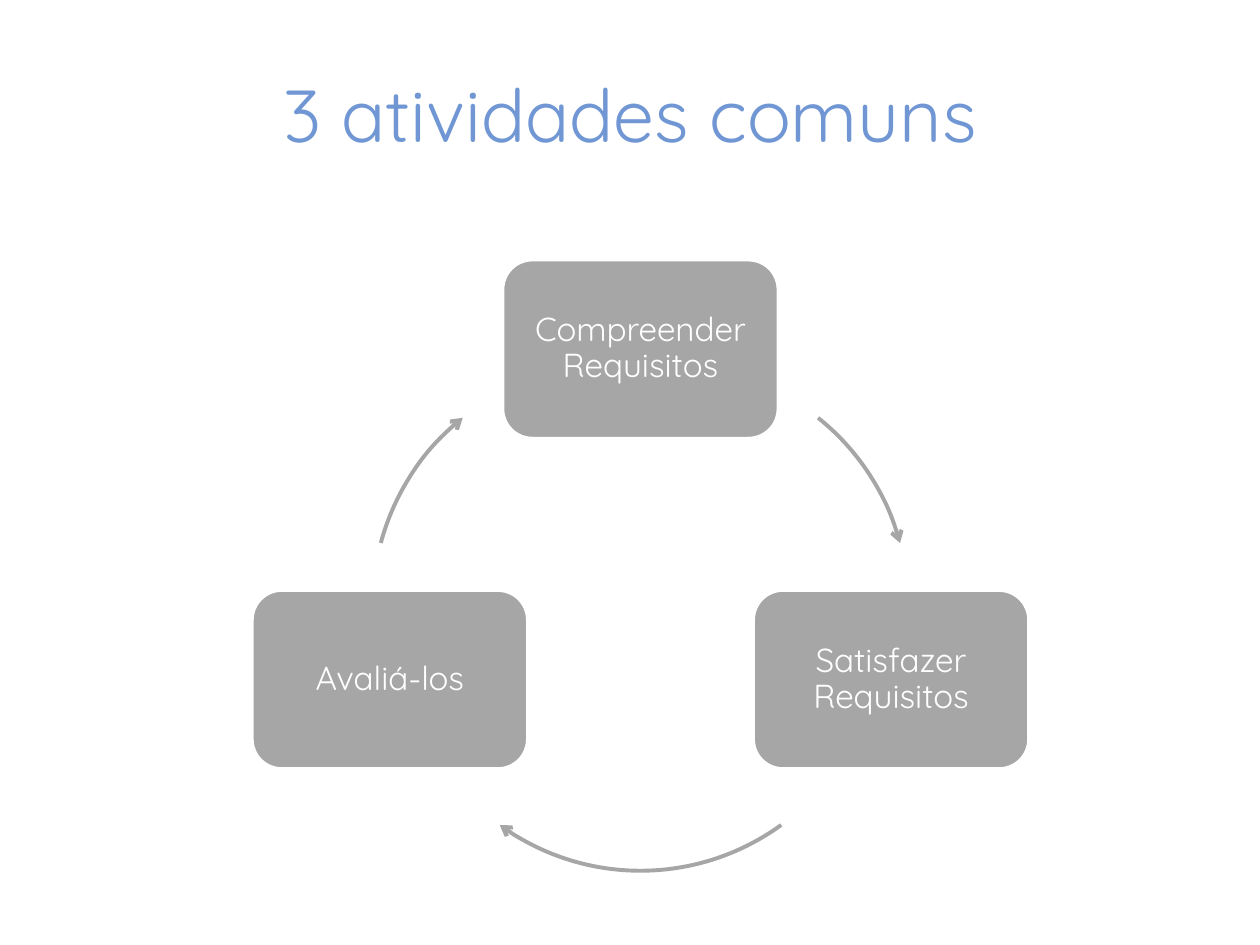
from dataclasses import dataclass

from lxml.etree import SubElement
from pptx import Presentation
from pptx.dml.color import RGBColor
from pptx.enum.shapes import MSO_SHAPE as Preset
from pptx.enum.text import MSO_ANCHOR as Anchor, PP_ALIGN as Align
from pptx.oxml.ns import qn
from pptx.util import Pt


@dataclass(frozen=True)
class Theme:
    font: str = "Quicksand"
    title_color: str = "7097D3"
    gray: str = "A6A6A6"
    white: str = "FFFFFF"
    title_size: float = 42
    step_size: float = 19
    border: float = 2
    arrow: float = 2.25


@dataclass(frozen=True)
class Box:
    left: float
    top: float
    width: float
    height: float

    def lengths(self):
        return [Pt(v) for v in (self.left, self.top, self.width, self.height)]


THEME = Theme()
ADJUSTMENT_PER_DEGREE = 0.6


def rgb(color):
    return RGBColor.from_string(color)


def write(shape, text, size, color, inset, spacing=1.0):
    frame = shape.text_frame
    frame.word_wrap = True
    frame.vertical_anchor = Anchor.MIDDLE
    frame.margin_left = frame.margin_right = Pt(inset)
    frame.margin_top = frame.margin_bottom = Pt(inset)
    paragraph = frame.paragraphs[0]
    paragraph.alignment = Align.CENTER
    paragraph.line_spacing = spacing
    run = paragraph.add_run()
    run.text = text
    run.font.name = THEME.font
    run.font.size = Pt(size)
    run.font.color.rgb = rgb(color)


def add_title(slide, box, text):
    heading = slide.shapes.add_textbox(*box.lengths())
    write(heading, text, size=THEME.title_size, color=THEME.title_color, inset=4)


def add_step(slide, box, text):
    step = slide.shapes.add_shape(Preset.ROUNDED_RECTANGLE, *box.lengths())
    step.shadow.inherit = False
    step.fill.solid()
    step.fill.fore_color.rgb = rgb(THEME.gray)
    step.line.color.rgb = rgb(THEME.white)
    step.line.width = Pt(THEME.border)
    write(step, text, size=THEME.step_size, color=THEME.white, inset=10.8, spacing=0.9)


def add_arc_arrow(slide, center_x, center_y, radius, start, end):
    box = Box(center_x - radius, center_y - radius, 2 * radius, 2 * radius)
    arc = slide.shapes.add_shape(Preset.ARC, *box.lengths())
    arc.shadow.inherit = False
    arc.fill.background()
    arc.adjustments[0] = start * ADJUSTMENT_PER_DEGREE
    arc.adjustments[1] = end * ADJUSTMENT_PER_DEGREE
    arc.line.color.rgb = rgb(THEME.gray)
    arc.line.width = Pt(THEME.arrow)
    SubElement(arc.line._get_or_add_ln(), qn("a:tailEnd"), type="arrow")


def add_cycle(slide, box, labels):
    step_width, step_height = 157.6, 102.2
    middle = box.left + box.width / 2
    lower = box.top + box.height - step_height
    right = box.left + box.width - step_width
    corners = [(middle - step_width / 2, box.top), (right, lower), (box.left, lower)]
    for (left, top), label in zip(corners, labels):
        add_step(slide, Box(left, top, step_width, step_height), label)

    radius, side_shift = 136.8, 16.2
    side_y, bottom_y = box.top + 197.3, box.top + 212.4
    add_arc_arrow(slide, middle + side_shift, side_y, radius, 308.6, 345)
    add_arc_arrow(slide, middle, bottom_y, radius, 54, 126)
    add_arc_arrow(slide, middle - side_shift, side_y, radius, 195, 231.4)


def main():
    deck = Presentation()
    deck.slide_width, deck.slide_height = Pt(720), Pt(540)
    slide = deck.slides.add_slide(deck.slide_layouts[6])
    add_title(slide, Box(36, 21, 648, 87), "3 atividades comuns")
    add_cycle(
        slide,
        Box(144, 148.4, 444, 291),
        ["Compreender Requisitos", "Satisfazer Requisitos", "Avaliá-los"],
    )
    deck.save("out.pptx")


if __name__ == "__main__":
    main()
